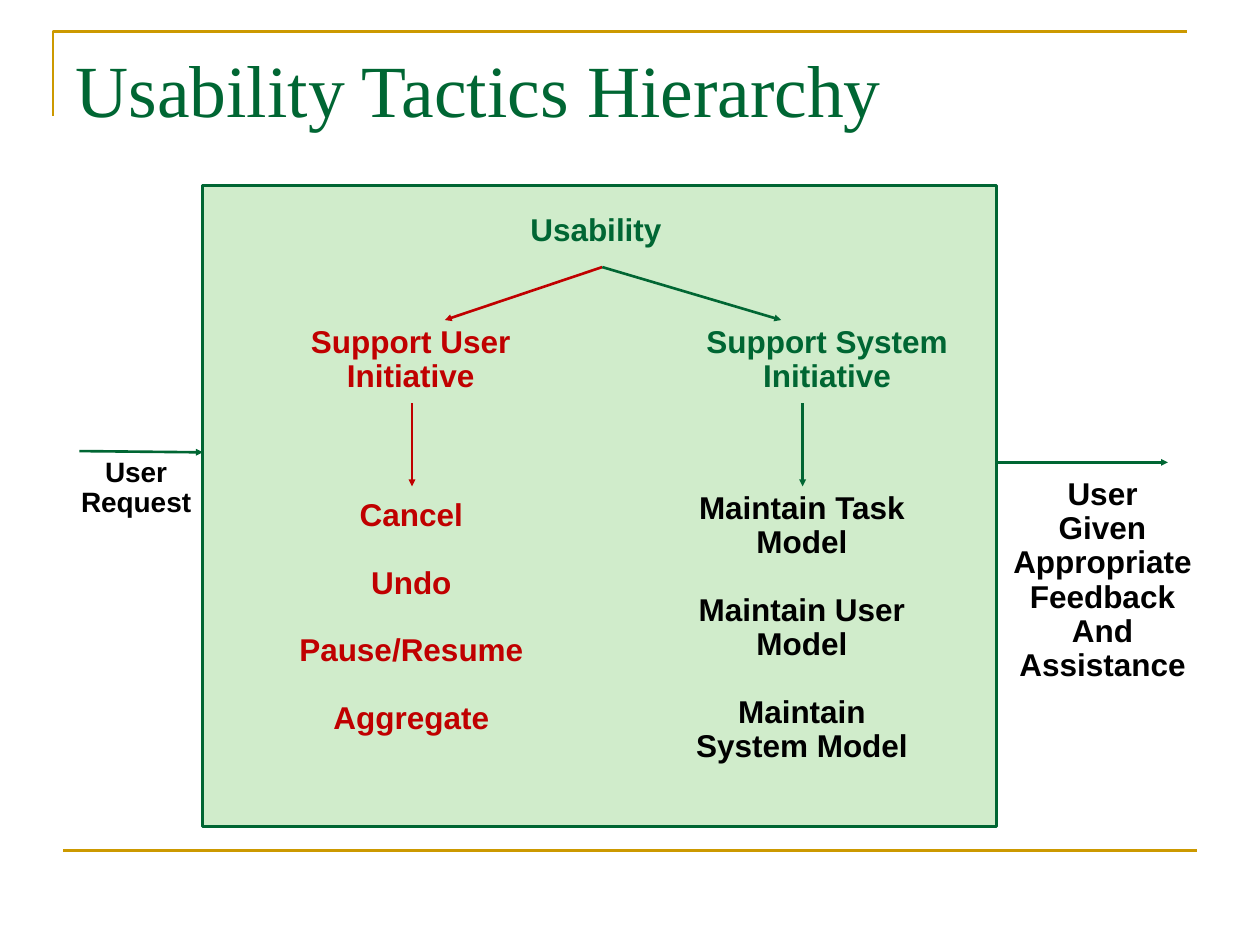
import pptx
import pptx.util
import pptx.dml.color
import pptx.enum.shapes
import pptx.enum.text
import pptx.oxml
import pptx.oxml.ns

Inches, Pt = pptx.util.Inches, pptx.util.Pt
GREEN, RED, BLACK, GOLD, PALE = "006633", "C00000", "000000", "CC9900", "D0ECCB"
color = pptx.dml.color.RGBColor.from_string

deck = pptx.Presentation()
deck.slide_width, deck.slide_height = Inches(10), Inches(7.5)
slide = deck.slides.add_slide(deck.slide_layouts[5])
shapes = slide.shapes


def line(x1, y1, x2, y2, hue, arrow=True):
    link = shapes.add_connector(
        pptx.enum.shapes.MSO_CONNECTOR.STRAIGHT,
        Inches(x1), Inches(y1), Inches(x2), Inches(y2))
    link.line.color.rgb = color(hue)
    link.line.width = Pt(1.5)
    if arrow:
        tail = pptx.oxml.parse_xml(
            f'<a:tailEnd {pptx.oxml.ns.nsdecls("a")} type="triangle" w="sm" len="sm"/>')
        link.line._get_or_add_ln().append(tail)
    link._element.spPr.append(
        pptx.oxml.parse_xml(f'<a:effectLst {pptx.oxml.ns.nsdecls("a")}/>'))


def label(left, top, width, height, rows, hue, size=18, gap=0, wrap=True):
    """Add a bold centred text box, one paragraph per row."""
    box = shapes.add_textbox(Inches(left), Inches(top), Inches(width), Inches(height))
    frame = box.text_frame
    frame.word_wrap = wrap
    frame.auto_size = pptx.enum.text.MSO_AUTO_SIZE.SHAPE_TO_FIT_TEXT
    frame.margin_left = frame.margin_right = Inches(0.05)
    frame.margin_top = frame.margin_bottom = Inches(0.05)
    frame.text = "\n".join(rows)
    for i, para in enumerate(frame.paragraphs):
        para.alignment = pptx.enum.text.PP_ALIGN.CENTER
        para.line_spacing = 0.9
        if i and gap:
            para.space_before = Pt(gap)
        para.font.name, para.font.size, para.font.bold = "Arial", Pt(size), True
        para.font.color.rgb = color(hue)


# Frame lines
pen = shapes.build_freeform(Inches(0.42), Inches(0.92))
pen.add_line_segments(
    [(Inches(0.42), Inches(0.25)), (Inches(9.42), Inches(0.25))], close=False)
corner = pen.convert_to_shape()
corner.shadow.inherit = False
corner.fill.background()
corner.line.color.rgb = color(GOLD)
corner.line.width = Pt(1.5)
line(0.5, 6.75, 9.5, 6.75, GOLD, arrow=False)

# Title
title = shapes.title
title.left, title.top = Inches(0.5), Inches(0.3)
title.width, title.height = Inches(9), Inches(1.25)
title.text_frame.text = "Usability Tactics Hierarchy"
title.text_frame.vertical_anchor = pptx.enum.text.MSO_ANCHOR.TOP
head = title.text_frame.paragraphs[0]
head.alignment = pptx.enum.text.PP_ALIGN.LEFT
head.font.name, head.font.size = "Times New Roman", Pt(42)
head.font.color.rgb = color(GREEN)

# Panel
panel = shapes.add_shape(
    pptx.enum.shapes.MSO_SHAPE.RECTANGLE,
    Inches(1.61), Inches(1.47), Inches(6.3), Inches(5.09))
panel.shadow.inherit = False
panel.fill.solid()
panel.fill.fore_color.rgb = color(PALE)
panel.line.color.rgb = color(GREEN)
panel.line.width = Pt(1.5)

# Hierarchy
label(4.13, 1.65, 1.2, 0.37, ["Usability"], GREEN, wrap=False)
label(2.24, 2.54, 2.04, 0.64, ["Support User", "Initiative"], RED)
label(5.3, 2.54, 2.53, 0.64, ["Support System", "Initiative"], GREEN)
label(1.93, 3.91, 2.67, 1.99,
      ["Cancel", "Undo", "Pause/Resume", "Aggregate"], RED, gap=19.4)
label(5.45, 3.86, 1.83, 2.26,
      ["Maintain Task Model", "Maintain User Model", "Maintain System Model"],
      BLACK, gap=19.4)
for tip, mid, hue in [(3.53, 3.27, RED), (6.2, 6.37, GREEN)]:
    line(4.78, 2.12, tip, 2.54, hue)
    line(mid, 3.2, mid, 3.86, hue)

# Input and output
line(0.63, 3.58, 1.61, 3.59, GREEN)
label(0.59, 3.59, 0.98, 0.58, ["User", "Request"], BLACK, size=16, wrap=False)
line(7.91, 3.67, 9.27, 3.67, GREEN)
label(7.99, 3.75, 1.52, 1.72,
      ["User", "Given", "Appropriate", "Feedback", "And", "Assistance"],
      BLACK, wrap=False)

deck.save("out.pptx")
